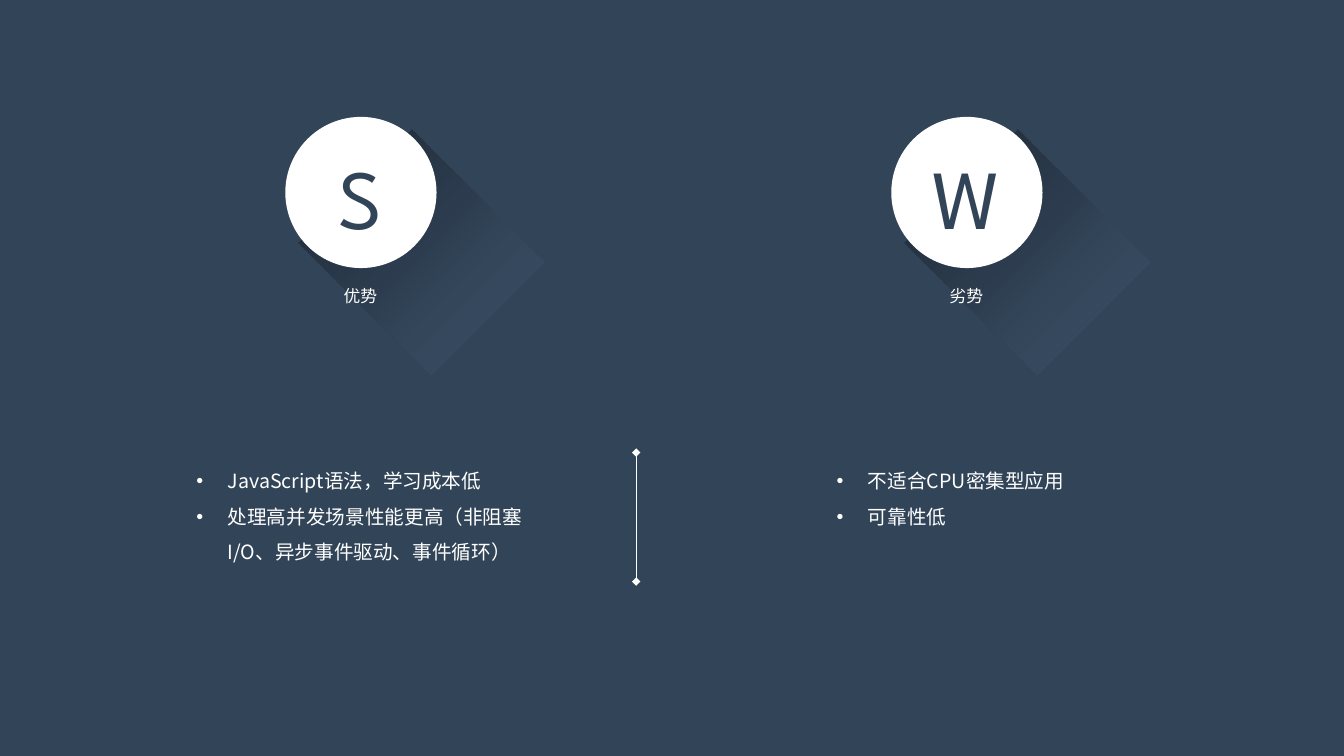
from lxml.etree import SubElement
from pptx import Presentation
from pptx.dml.color import RGBColor
from pptx.enum.shapes import MSO_CONNECTOR, MSO_SHAPE
from pptx.enum.text import MSO_AUTO_SIZE, PP_ALIGN
from pptx.oxml import parse_xml
from pptx.oxml.ns import nsdecls, qn
from pptx.util import Inches, Pt

NAVY = RGBColor(0x32, 0x44, 0x58)
WHITE = RGBColor(0xFF, 0xFF, 0xFF)
SHADOW_STOPS = [
    (0, RGBColor(0x19, 0x22, 0x2C), 100),
    (50, RGBColor(0x26, 0x33, 0x42), 35),
    (100, RGBColor(0x71, 0x8E, 0xAE), 0),
]


class SwotSlide:
    """Draws long-shadow badges, text and dividers on one slide."""

    letter_font = "League Spartan"
    body_font = "Noto Sans CJK SC"

    def __init__(self, prs):
        self.s = prs.slides.add_slide(prs.slide_layouts[6])
        self.s.background.fill.solid()
        self.s.background.fill.fore_color.rgb = NAVY

    def badge(self, x, y):
        group = self.s.shapes.add_group_shape()
        shadow = group.shapes.add_shape(
            MSO_SHAPE.RECTANGLE, Inches(x + 0.42), Inches(y + 0.55), Inches(1.86), Inches(1.59))
        shadow.rotation = 45
        stops = "".join(
            f'<a:gs pos="{pos * 1000}"><a:srgbClr val="{color}">'
            f'<a:alpha val="{alpha * 1000}"/></a:srgbClr></a:gs>'
            for pos, color, alpha in SHADOW_STOPS)
        gradient = parse_xml(
            f'<a:gradFill {nsdecls("a")} rotWithShape="1"><a:gsLst>{stops}</a:gsLst>'
            '<a:lin ang="0" scaled="0"/></a:gradFill>')
        shadow._element.spPr.find(qn("a:prstGeom")).addnext(gradient)
        circle = group.shapes.add_shape(
            MSO_SHAPE.OVAL, Inches(x), Inches(y), Inches(1.5), Inches(1.5))
        circle.fill.solid()
        circle.fill.fore_color.rgb = WHITE
        for sp in (shadow, circle):
            sp.shadow.inherit = False
            sp.line.fill.background()

    def text(self, box, lines, size, font=body_font, color=WHITE, align=None, wrap=True):
        sp = self.s.shapes.add_textbox(*map(Inches, box))
        tf = sp.text_frame
        tf.word_wrap = wrap
        tf.auto_size = MSO_AUTO_SIZE.SHAPE_TO_FIT_TEXT
        tf.text = "\n".join(lines)
        for p in tf.paragraphs:
            p.alignment = align
            p.font.size = Pt(size)
            p.font.name = font
            p.font.color.rgb = color
            SubElement(p.font._element, qn("a:ea"), typeface=font)
        return tf

    def bullets(self, box, lines):
        for p in self.text(box, lines, 14).paragraphs:
            p.line_spacing = 1.5
            pPr = p._p.get_or_add_pPr()
            pPr.set("marL", str(Inches(0.31)))
            pPr.set("indent", str(Inches(-0.31)))
            defaults = pPr.find(qn("a:defRPr"))
            for xml in (
                f'<a:buClr {nsdecls("a")}><a:srgbClr val="{WHITE}"/></a:buClr>',
                f'<a:buFont {nsdecls("a")} typeface="Arial"/>',
                f'<a:buChar {nsdecls("a")} char="•"/>',
            ):
                defaults.addprevious(parse_xml(xml))

    def divider(self, x, top, bottom):
        line = self.s.shapes.add_connector(
            MSO_CONNECTOR.STRAIGHT, Inches(x), Inches(top), Inches(x), Inches(bottom))
        line.line.color.rgb = WHITE
        line.line.width = Pt(0.75)
        ln = line.line._get_or_add_ln()
        for end in ("a:headEnd", "a:tailEnd"):
            SubElement(ln, qn(end), type="diamond")
        SubElement(line._element.spPr, qn("a:effectLst"))


def main():
    prs = Presentation()
    prs.slide_width, prs.slide_height = Inches(13.33), Inches(7.5)
    slide = SwotSlide(prs)
    columns = [
        (2.83, "S", "优势", (1.85, 4.49, 3.51, 1.16),
         ["JavaScript语法，学习成本低", "处理高并发场景性能更高（非阻塞I/O、异步事件驱动、事件循环）"]),
        (8.84, "W", "劣势", (8.2, 4.49, 2.77, 0.81),
         ["不适合CPU密集型应用", "可靠性低"]),
    ]
    for x, letter, label, box, points in columns:
        slide.badge(x, 1.16)
        slide.text((x - 0.07, 1.39, 1.63, 1.11), [letter], 60,
                   slide.letter_font, NAVY, PP_ALIGN.CENTER)
        slide.text((x + 0.48, 2.79, 0.54, 0.3), [label], 12, wrap=False)
        slide.bullets(box, points)
    slide.divider(6.31, 4.49, 5.77)
    prs.save("out.pptx")


if __name__ == "__main__":
    main()
